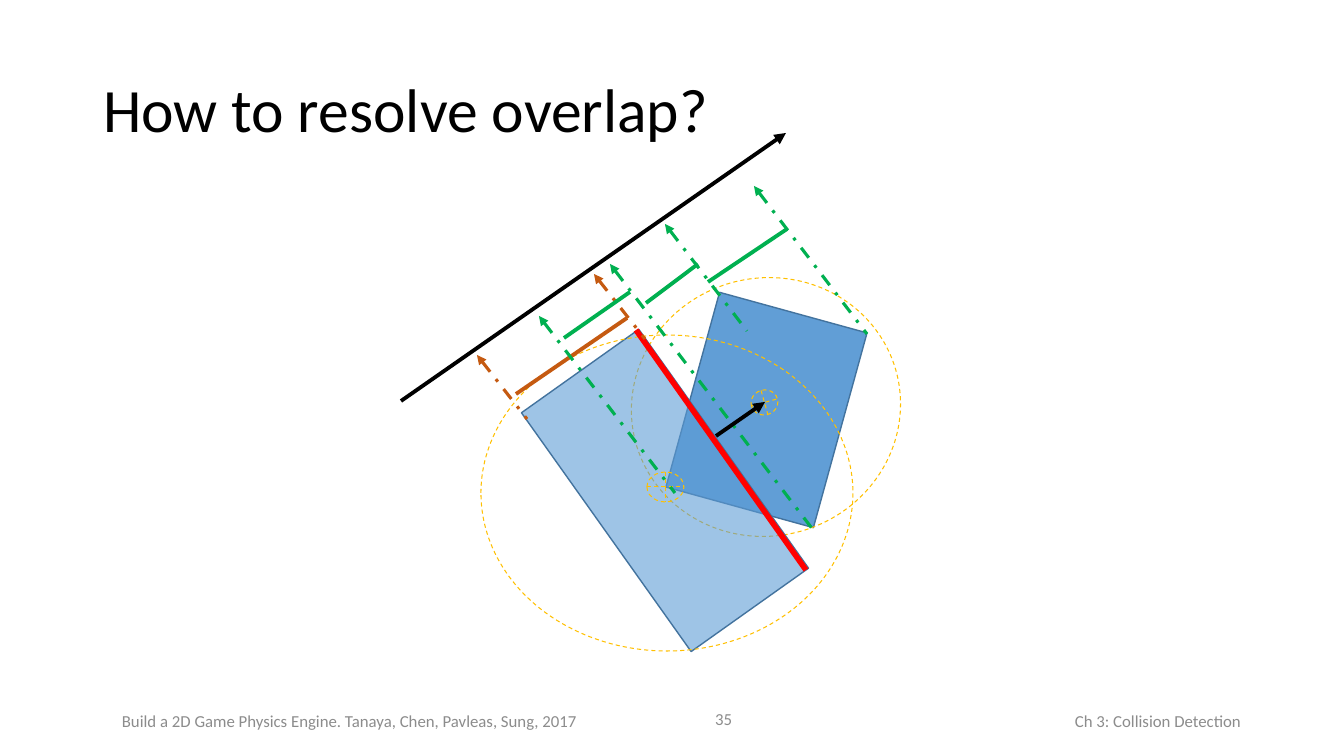
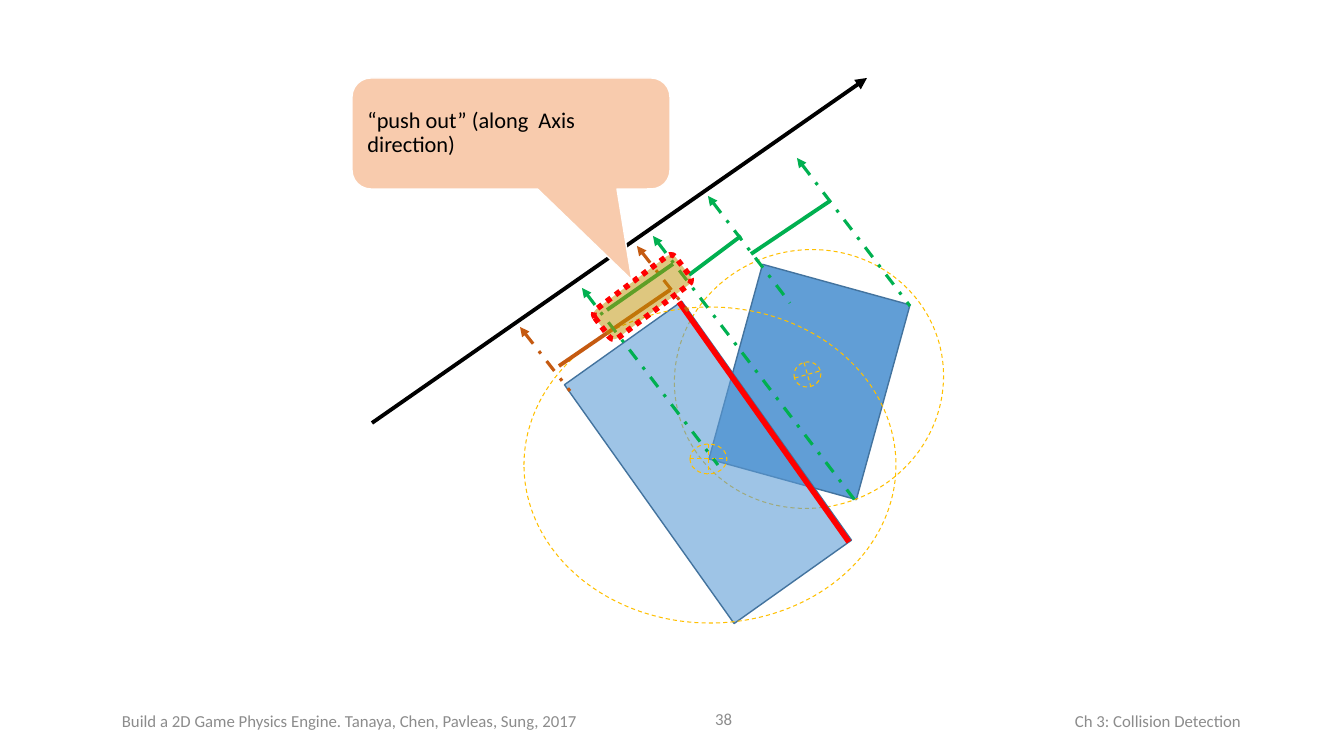
import pptx
import pptx.util
import pptx.dml.color
import pptx.enum.dml
import pptx.enum.shapes
import pptx.enum.text
import pptx.oxml.ns
import pptx.oxml.xmlchemy
from dataclasses import dataclass

SHAPE = pptx.enum.shapes.MSO_SHAPE
DASH = pptx.enum.dml.MSO_LINE
ALIGN = pptx.enum.text.PP_ALIGN
PX = 914400 / 100.8


@dataclass(frozen=True)
class Theme:
    font: str = "Calibri"
    title_size: int = 44
    callout_size: int = 16
    footer_size: int = 12
    ink: str = "000000"
    muted: str = "8C8C8C"
    box: str = "5B9BD5"
    box_edge: str = "43739E"
    bound: str = "FFC000"
    face: str = "FF0000"
    first: str = "C55A11"
    second: str = "00B050"
    overlap: str = "BF9000"
    callout: str = "F8CBAD"
    paper: str = "FFFFFF"


THEME = Theme()

# Line styles: colour, width in pt, dash, end that carries the arrowhead
AXIS = (THEME.ink, 2.75, None, "tailEnd")
FACE = (THEME.face, 4, None, None)
FIRST_RAY = (THEME.first, 2.25, DASH.DASH_DOT, "headEnd")
FIRST_SPAN = (THEME.first, 2.75, None, None)
SECOND_RAY = (THEME.second, 2.25, DASH.DASH_DOT, "headEnd")
SECOND_SPAN = (THEME.second, 2.75, None, None)

# Shape styles: fill, opacity in %, edge colour, edge width in pt, edge dash
BACK_BOX = (THEME.box, 96, THEME.box_edge, 1, None)
FRONT_BOX = (THEME.box, 59, THEME.box_edge, 1, None)
BOUND = (None, 100, THEME.bound, 0.75, DASH.DASH)
OVERLAP = (THEME.overlap, 50, THEME.face, 4, DASH.ROUND_DOT)
CALLOUT = (THEME.callout, 100, THEME.paper, 1, None)

# Left, top, width, height in px, then rotation in degrees
BODIES = [
    (SHAPE.RECTANGLE, (690, 309, 153, 202), 15.4, BACK_BOX),
    (SHAPE.OVAL, (631, 278, 270, 258), 344.4, BOUND),
    (SHAPE.FLOWCHART_OR, (751, 390, 27, 25), 344.4, BOUND),
    (SHAPE.RECTANGLE, (593, 344, 144, 293), 324.6, FRONT_BOX),
    (SHAPE.OVAL, (481, 335, 372, 316), 0, BOUND),
    (SHAPE.FLOWCHART_OR, (647, 472, 37, 30), 0, BOUND),
]
PROJECTIONS = [
    ((636, 330), (806, 570), FACE),
    ((477, 355), (527, 419), FIRST_RAY),
    ((627, 318), (516, 394), FIRST_SPAN),
    ((665, 224), (747, 331), SECOND_RAY),
    ((708, 282), (787, 229), SECOND_SPAN),
    ((594, 274), (645, 339), FIRST_RAY),
    ((754, 186), (867, 334), SECOND_RAY),
    ((539, 316), (675, 493), SECOND_RAY),
    ((610, 264), (814, 531), SECOND_RAY),
    ((646, 303), (698, 264), SECOND_SPAN),
    ((564, 338), (630, 292), SECOND_SPAN),
]
FACE_NORMAL = ((716, 436), (765, 402), AXIS)

TITLE = "How to resolve overlap?"
TITLE_AREA = (93, 40, 1159, 146)
PUSH_OUT = "“push out” (along  Axis direction)"
CHAPTER = "Ch 3: Collision Detection"
BOOK = "Build a 2D Game Physics Engine. Tanaya, Chen, Pavleas, Sung, 2017"


def px(length):
    return pptx.util.Emu(round(length * PX))


def rgb(color):
    return pptx.dml.color.RGBColor.from_string(color)


def add_xml(parent, tag, **attributes):
    child = pptx.oxml.xmlchemy.OxmlElement(tag)
    for name, value in attributes.items():
        child.set(name, value)
    parent.append(child)


def write(frame, text, size, color, align=ALIGN.LEFT, spacing=None):
    frame.word_wrap = True
    frame.vertical_anchor = pptx.enum.text.MSO_ANCHOR.MIDDLE
    paragraph = frame.paragraphs[0]
    paragraph.alignment = align
    paragraph.line_spacing = spacing
    run = paragraph.add_run()
    run.text = text
    run.font.name = THEME.font
    run.font.size = pptx.util.Pt(size)
    run.font.color.rgb = rgb(color)


def style_line(line, color, width, dash):
    line.color.rgb = rgb(color)
    line.width = pptx.util.Pt(width)
    if dash is not None:
        line.dash_style = dash


def add_body(slide, preset, area, rotation, style, shift=(0, 0)):
    fill, opacity, edge, width, dash = style
    left, top, *size = area
    area = (left + shift[0], top + shift[1], *size)
    body = slide.shapes.add_shape(preset, *map(px, area))
    body.rotation = rotation
    body.shadow.inherit = False
    if fill is None:
        body.fill.background()
    else:
        body.fill.solid()
        body.fill.fore_color.rgb = rgb(fill)
        if opacity < 100:
            color = body.element.find(".//" + pptx.oxml.ns.qn("a:srgbClr"))
            add_xml(color, "a:alpha", val=str(opacity * 1000))
    style_line(body.line, edge, width, dash)
    return body


def add_line(slide, start, end, style, shift=(0, 0)):
    color, width, dash, arrow_end = style
    ends = [px(value + move) for point in (start, end) for value, move in zip(point, shift)]
    connector = slide.shapes.add_connector(pptx.enum.shapes.MSO_CONNECTOR.STRAIGHT, *ends)
    style_line(connector.line, color, width, dash)
    properties = connector.element.spPr
    if arrow_end:
        add_xml(properties.find(pptx.oxml.ns.qn("a:ln")), "a:" + arrow_end, type="triangle")
    add_xml(properties, "a:effectLst")


def add_footer(slide, number):
    for text, area, align in (
        (CHAPTER, (766, 701, 485, 40), ALIGN.RIGHT),
        (BOOK, (112, 701, 509, 40), ALIGN.LEFT),
        (number, (622, 699, 120, 40), ALIGN.RIGHT),
    ):
        box = slide.shapes.add_textbox(*map(px, area))
        write(box.text_frame, text, THEME.footer_size, THEME.muted, align)


def add_collision(slide, axis, shift=(0, 0)):
    """Draw both boxes and their projections, moved by shift, then the axis."""
    for body in BODIES:
        add_body(slide, *body, shift)
    for projection in PROJECTIONS:
        add_line(slide, *projection, shift)
    add_line(slide, *axis, AXIS)


def build_question(deck):
    slide = deck.slides.add_slide(deck.slide_layouts[5])
    title = slide.shapes.title
    title.left, title.top, title.width, title.height = map(px, TITLE_AREA)
    write(title.text_frame, TITLE, THEME.title_size, THEME.ink, spacing=0.9)
    add_footer(slide, "35")
    add_collision(slide, ((401, 401), (786, 133)))
    add_line(slide, *FACE_NORMAL)


def build_push_out(deck):
    slide = deck.slides.add_slide(deck.slide_layouts[6])
    add_footer(slide, "38")
    add_collision(slide, ((372, 423), (867, 78)), shift=(43, -28))
    add_body(slide, SHAPE.ROUNDED_RECTANGLE, (592, 279, 101, 36), 323.1, OVERLAP)
    callout = add_body(slide, SHAPE.ROUNDED_RECTANGULAR_CALLOUT, (352, 78, 318, 111), 0, CALLOUT)
    for index, value in enumerate((0.38, 1.32, 0.17)):
        callout.adjustments[index] = value
    write(callout.text_frame, PUSH_OUT, THEME.callout_size, THEME.ink, spacing=0.9)


def main():
    deck = pptx.Presentation()
    deck.slide_width, deck.slide_height = px(1344), px(756)
    build_question(deck)
    build_push_out(deck)
    deck.save("out.pptx")


if __name__ == "__main__":
    main()
